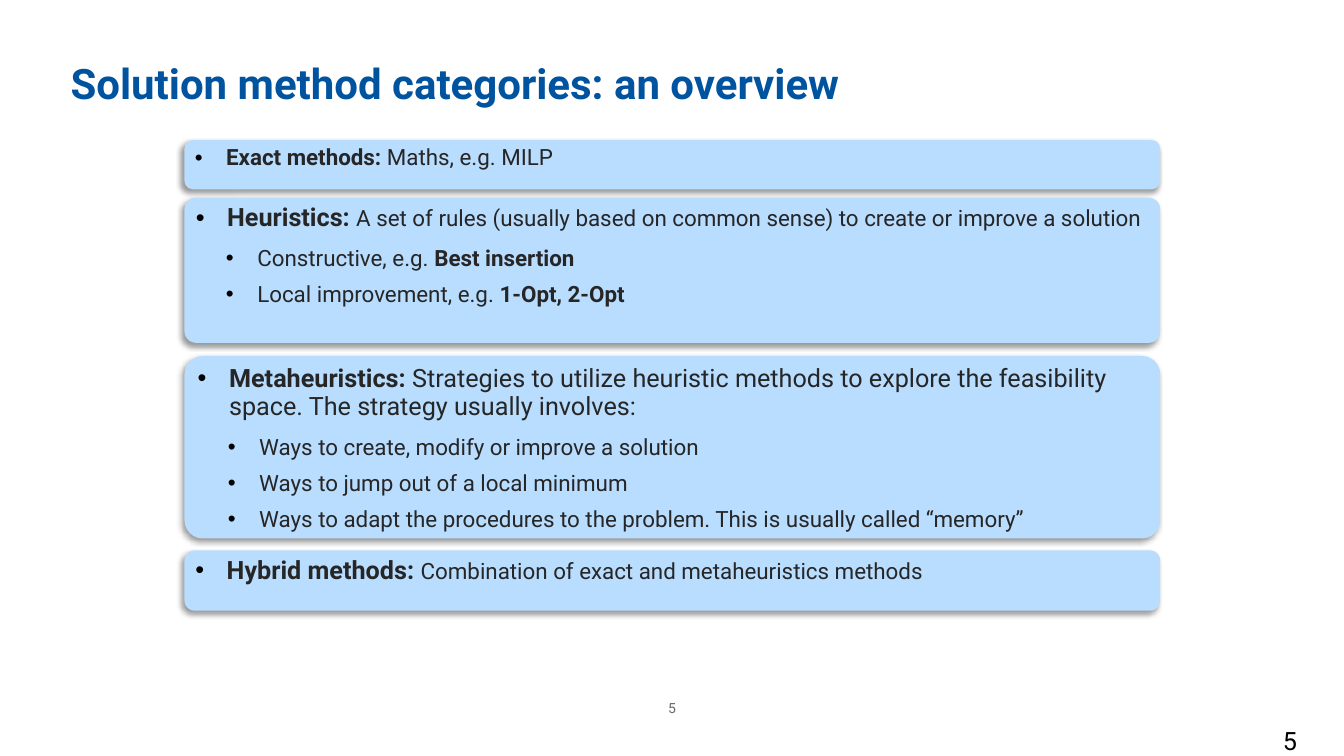
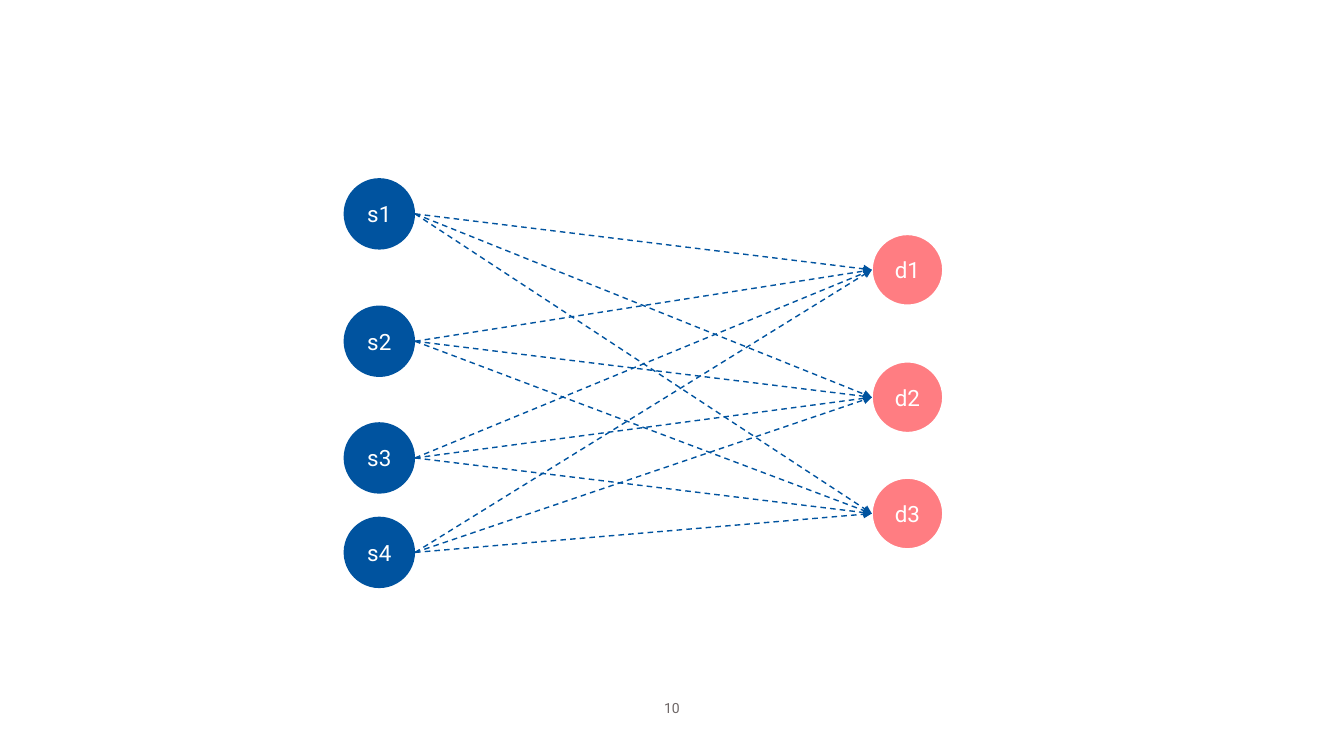
import pptx
import pptx.dml.color
import pptx.enum.dml
import pptx.enum.shapes
import pptx.enum.text
import pptx.oxml
import pptx.oxml.ns
import pptx.util
from lxml import etree

Cm, Pt = pptx.util.Cm, pptx.util.Pt
SHAPE = pptx.enum.shapes.MSO_SHAPE
ALIGN = pptx.enum.text.PP_ALIGN
ANCHOR = pptx.enum.text.MSO_ANCHOR
qn = pptx.oxml.ns.qn

FONT = "Roboto"
COLORS = {
    "blue": "00539F",
    "panel": "B9DDFF",
    "pink": "FF7D82",
    "text": "262626",
    "number": "6E6767",
    "black": "000000",
    "white": "FFFFFF",
}
SLIDE_WIDTH, SLIDE_HEIGHT = 33.87, 19.05

TITLE = "Solution method categories: an overview"
PANEL_LEFT, PANEL_WIDTH = 4.65, 24.59
# Each paragraph: level, then runs of (text, size, bold)
PANELS = [
    {"top": 3.53, "height": 1.24, "corner": 0.17, "paragraphs": [
        (0, [("Exact methods: ", 16, True), ("Maths, e.g. MILP", 16, False)]),
    ]},
    {"top": 4.98, "height": 3.66, "corner": 0.08, "paragraphs": [
        (0, [("Heuristics: ", 18, True),
             ("A set of rules (usually based on common sense) to create or improve a solution",
              16, False)]),
        (1, [("Constructive, e.g. ", 16, False), ("Best insertion", 16, True)]),
        (1, [("Local improvement, e.g. ", 16, False), ("1-Opt, 2-Opt", 16, True)]),
    ]},
    {"top": 8.97, "height": 4.6, "corner": 0.1, "paragraphs": [
        (0, [("Metaheuristics: ", 18, True),
             ("Strategies to utilize heuristic methods to explore the feasibility space. "
              "The strategy usually involves:", 18, False)]),
        (1, [("Ways to create, modify or improve a solution", 16, False)]),
        (1, [("Ways to jump out of a local minimum", 16, False)]),
        (1, [("Ways to adapt the procedures to the problem. "
              "This is usually called “memory”", 16, False)]),
    ]},
    {"top": 13.87, "height": 1.52, "corner": 0.17, "paragraphs": [
        (0, [("Hybrid methods: ", 18, True),
             ("Combination of exact and metaheuristics methods", 16, False)]),
    ]},
]
# Bullet styles by level: left margin (cm), space after (pt)
LEVELS = [(0.79, 9.7), (1.55, 7.7)]
HANGING = 0.79

NODE_SIZE = 1.8
# Node label and height of its centre
SOURCES = [("s1", 5.39), ("s2", 8.6), ("s3", 11.54), ("s4", 13.92)]
DESTINATIONS = [("d1", 6.8), ("d2", 10.01), ("d3", 12.94)]
SOURCE_LEFT, DESTINATION_LEFT = 8.66, 21.97
OVAL_LEFT_SITE, OVAL_RIGHT_SITE = 2, 6


def rgb(name):
    return pptx.dml.color.RGBColor.from_string(COLORS[name])


def set_font(font, size, color, bold=False):
    font.name, font.size, font.bold = FONT, Pt(size), bold
    font.color.rgb = rgb(color)


def set_insets(frame, left=0, top=0, right=0, bottom=0):
    frame.margin_left, frame.margin_top = Cm(left), Cm(top)
    frame.margin_right, frame.margin_bottom = Cm(right), Cm(bottom)


def add_text(page, text, place, size, color, bold=False, align=ALIGN.LEFT):
    box = page.shapes.add_textbox(*map(Cm, place))
    frame = box.text_frame
    frame.word_wrap = True
    set_insets(frame)
    para = frame.paragraphs[0]
    para.text, para.alignment = text, align
    set_font(para.font, size, color, bold)
    return para


def add_page(deck, number):
    """Add a blank page with its number centred at the foot."""
    page = deck.slides.add_slide(deck.slide_layouts[6])
    width = 2
    place = ((SLIDE_WIDTH - width) / 2, 17.63, width, 0.43)
    add_text(page, number, place, 10, "number", align=ALIGN.CENTER)
    return page


def add_filled(page, kind, place, color):
    shape = page.shapes.add_shape(kind, *map(Cm, place))
    shape.shadow.inherit = False
    shape.fill.solid()
    shape.fill.fore_color.rgb = rgb(color)
    shape.line.fill.background()
    return shape


def add_drop_shadow(shape):
    effects = shape._element.spPr.find(qn("a:effectLst"))
    outer = etree.SubElement(effects, qn("a:outerShdw"), blurRad=str(Pt(4)),
                             dist=str(Pt(3)), dir="8100000", rotWithShape="0")
    tint = etree.SubElement(outer, qn("a:srgbClr"), val=COLORS["black"])
    etree.SubElement(tint, qn("a:alpha"), val="40000")


def add_bullet(para, level):
    margin, space_after = LEVELS[level]
    para.level = level
    para.alignment = ALIGN.LEFT
    para.line_spacing, para.space_after = 0.94, Pt(space_after)
    properties = para._p.get_or_add_pPr()
    properties.set("marL", str(Cm(margin)))
    properties.set("indent", str(-Cm(HANGING)))
    tint = etree.SubElement(properties, qn("a:buClr"))
    etree.SubElement(tint, qn("a:srgbClr"), val=COLORS["black"])
    etree.SubElement(properties, qn("a:buFont"), typeface="Arial")
    etree.SubElement(properties, qn("a:buChar"), char="•")


def add_panel(page, panel):
    place = (PANEL_LEFT, panel["top"], PANEL_WIDTH, panel["height"])
    shape = add_filled(page, SHAPE.ROUNDED_RECTANGLE, place, "panel")
    shape.adjustments[0] = panel["corner"]
    add_drop_shadow(shape)
    frame = shape.text_frame
    frame.word_wrap, frame.vertical_anchor = True, ANCHOR.TOP
    set_insets(frame, left=0.2, top=0.08, right=0.2)
    for index, (level, runs) in enumerate(panel["paragraphs"]):
        para = frame.add_paragraph() if index else frame.paragraphs[0]
        add_bullet(para, level)
        for text, size, bold in runs:
            span = para.add_run()
            span.text = text
            set_font(span.font, size, "text", bold)


def add_node(page, label, left, middle, color):
    place = (left, middle - NODE_SIZE / 2, NODE_SIZE, NODE_SIZE)
    node = add_filled(page, SHAPE.OVAL, place, color)
    frame = node.text_frame
    frame.vertical_anchor = ANCHOR.MIDDLE
    set_insets(frame)
    para = frame.paragraphs[0]
    para.text, para.alignment = label, ALIGN.CENTER
    set_font(para.font, 16, "white")
    return node


def add_route(page, source, destination):
    """Draw a dashed arrow from a source's right to a destination's left."""
    route = page.shapes.add_connector(
        pptx.enum.shapes.MSO_CONNECTOR.STRAIGHT,
        source.left + source.width, source.top + source.height // 2,
        destination.left, destination.top + destination.height // 2)
    route.line.color.rgb = rgb("blue")
    route.line.width = Pt(1)
    route.line.dash_style = pptx.enum.dml.MSO_LINE.DASH
    etree.SubElement(route.line._get_or_add_ln(), qn("a:tailEnd"), type="triangle")
    etree.SubElement(route._element.spPr, qn("a:effectLst"))
    # Ovals have eight connection sites, so the joins are written directly
    joins = route._element.find(".//" + qn("p:cNvCxnSpPr"))
    for tag, node, site in (("a:stCxn", source, OVAL_RIGHT_SITE),
                            ("a:endCxn", destination, OVAL_LEFT_SITE)):
        etree.SubElement(joins, qn(tag), id=str(node.shape_id), idx=str(site))


def build_overview(deck):
    page = add_page(deck, "5")
    title = add_text(page, TITLE, (1.78, 1.6, 30.33, 1.65), 30, "blue", bold=True)
    title.line_spacing = 0.9
    add_text(page, "5", (32.33, 18.29, 1.3, 0.75), 18, "black")
    for panel in PANELS:
        add_panel(page, panel)


def build_network(deck):
    page = add_page(deck, "10")
    sources = [add_node(page, label, SOURCE_LEFT, middle, "blue")
               for label, middle in SOURCES]
    destinations = [add_node(page, label, DESTINATION_LEFT, middle, "pink")
                    for label, middle in DESTINATIONS]
    for node in destinations:
        node.line.color.rgb = rgb("white")
        node.line.width = Pt(1.5)
    for source in sources:
        for destination in destinations:
            add_route(page, source, destination)


def main():
    deck = pptx.Presentation()
    deck.slide_width, deck.slide_height = Cm(SLIDE_WIDTH), Cm(SLIDE_HEIGHT)
    build_overview(deck)
    build_network(deck)
    deck.save("out.pptx")


if __name__ == "__main__":
    main()
